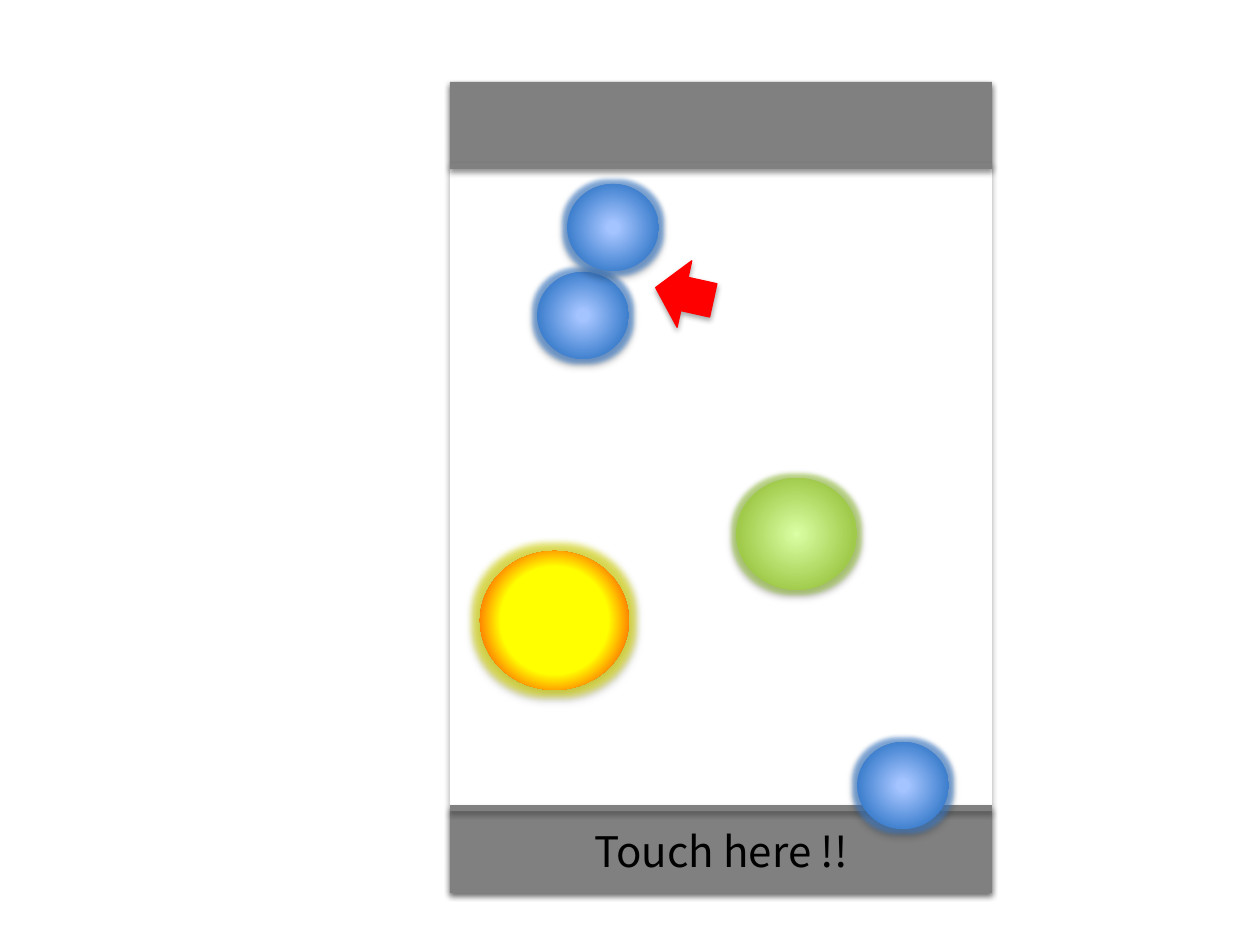
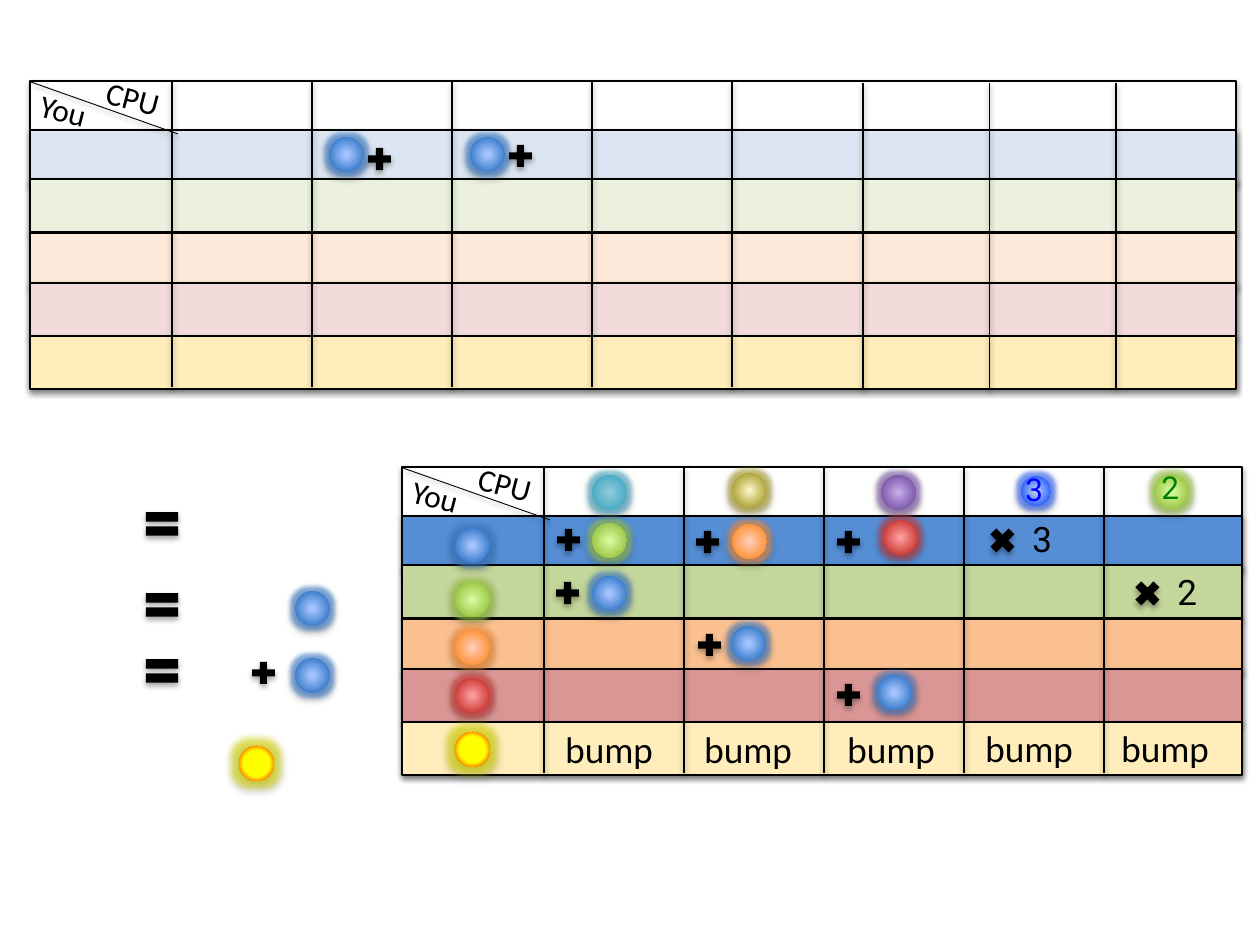
from collections import namedtuple
from pptx import Presentation
from pptx.dml.color import RGBColor
from pptx.enum.shapes import MSO_CONNECTOR, MSO_SHAPE
from pptx.enum.text import MSO_ANCHOR, MSO_AUTO_SIZE, PP_ALIGN
from pptx.oxml import parse_xml
from pptx.oxml.ns import nsdecls
from pptx.util import Emu, Pt

SCALE = 914400 / 126
COLORS = {
    "black": "000000", "white": "FFFFFF", "gray": "808080", "red": "FF0000",
    "three": "0000FF", "two": "008000",
}
PALE = ["DCE6F2", "EBF1DE", "FDEADA", "F2DCDB", "FFEEBB"]
DEEP = ["558ED5", "C3D69B", "FAC090", "D99694", "FFEEBB"]
BALLS = {
    "blue": (9, "A4C4FF", 71, "3F80CE"),
    "green": (0, "DAFFA5", 71, "A0CA4A"),
    "orange": (0, "FFD2BD", 71, "FF953E"),
    "red": (0, "FFA6A5", 70, "D1403C"),
    "violet": (0, "C8B0ED", 71, "7F5BAB"),
    "gold": (0, "FFFACE", 71, "B2A63B"),
    "teal": (0, "93CDDD", 71, "4BACC6"),
    "royal": (0, "C6D9F1", 70, "3366FF"),
    "sun": (53, "FFFF00", 79, "FF6600"),
}
GLOWS = {"sun": (101600, "DDDD00")}
ROWS = [49, 98, 152, 202, 255]
BALL = 35

Pane = namedtuple("Pane", "shapes left top")


def px(value):
    return Emu(round(value * SCALE))


def place(pane, x, y, w, h):
    return px(pane.left + x), px(pane.top + y), px(w), px(h)


def rgb(name):
    return RGBColor.from_string(COLORS.get(name, name))


def shade(shape, dist=23000, alpha=35, glow=None):
    halo = ""
    if glow:
        size, color = glow
        halo = (f'<a:glow rad="{size}"><a:srgbClr val="{color}">'
                '<a:alpha val="60000"/></a:srgbClr></a:glow>')
    shape._element.spPr.append(parse_xml(
        f'<a:effectLst {nsdecls("a")}>{halo}'
        f'<a:outerShdw blurRad="40000" dist="{dist}" dir="5400000" rotWithShape="0">'
        f'<a:srgbClr val="000000"><a:alpha val="{alpha}000"/></a:srgbClr>'
        '</a:outerShdw></a:effectLst>'))


def mark(pane, kind, x, y, w, h, fill="black", line=None, turn=0):
    shape = pane.shapes.add_shape(kind, *place(pane, x, y, w, h))
    shape.rotation = turn
    shape.fill.solid()
    shape.fill.fore_color.rgb = rgb(fill)
    if line:
        shape.line.color.rgb = rgb(line)
        shape.line.width = Pt(0.75)
    else:
        shape.line.fill.background()
    shade(shape)
    return shape


def ball(pane, name, x, y, w=BALL, h=BALL):
    shape = pane.shapes.add_shape(MSO_SHAPE.OVAL, *place(pane, x, y, w, h))
    shape.fill.background()
    shape.line.fill.background()
    first, core, last, rim = BALLS[name]
    props = shape._element.spPr
    blank = props.find("{*}noFill")
    props.replace(blank, parse_xml(
        f'<a:gradFill {nsdecls("a")} rotWithShape="1"><a:gsLst>'
        f'<a:gs pos="{first}000"><a:srgbClr val="{core}"/></a:gs>'
        f'<a:gs pos="{last}000"><a:srgbClr val="{rim}"/></a:gs></a:gsLst>'
        '<a:path path="circle"><a:fillToRect l="50000" t="50000" r="50000" b="50000"/>'
        '</a:path></a:gradFill>'))
    shade(shape, glow=GLOWS.get(name, (63500, rim)))


def rule(pane, x1, y1, x2, y2, color="black", width=1.0, dist=20000, alpha=38):
    start, end = place(pane, x1, y1, 0, 0)[:2], place(pane, x2, y2, 0, 0)[:2]
    line = pane.shapes.add_connector(MSO_CONNECTOR.STRAIGHT, *start, *end)
    line.line.color.rgb = rgb(color)
    line.line.width = Pt(width)
    shade(line, dist, alpha)


def style(frame, text, font="Calibri", size=18, color="black", align=None, edge=0):
    para = frame.paragraphs[0]
    para.alignment = align
    run = para.add_run()
    run.text = text
    run.font.name = font
    run.font.size = Pt(size)
    run.font.color.rgb = rgb(color)
    if edge:
        run.font._element.insert(0, parse_xml(
            f'<a:ln {nsdecls("a")} w="{edge}"><a:solidFill>'
            '<a:srgbClr val="FFFFFF"/></a:solidFill></a:ln>'))


def label(pane, text, x, y, w, h, turn=0, wrap=False, **look):
    box = pane.shapes.add_textbox(*place(pane, x, y, w, h))
    box.rotation = turn
    box.text_frame.word_wrap = wrap
    box.text_frame.auto_size = MSO_AUTO_SIZE.SHAPE_TO_FIT_TEXT
    style(box.text_frame, text, **look)


def phone(pane, wide, high, band):
    rect = MSO_SHAPE.RECTANGLE
    mark(pane, rect, 0, 0, wide, high, "white")
    foot = mark(pane, rect, 0, high - band, wide, band, "gray")
    foot.text_frame.vertical_anchor = MSO_ANCHOR.MIDDLE
    style(foot.text_frame, "Touch here !!", font="Noto Sans CJK JP", size=24,
          align=PP_ALIGN.CENTER)
    mark(pane, rect, 0, 0, wide, band, "gray")
    for y in (band, high - band - 1):
        rule(pane, 0, y, wide, y, "gray", 3, 23000, 35)
    ball(pane, "blue", 87, 190, 92, 87)
    ball(pane, "sun", 30, 469, 149, 139)
    ball(pane, "blue", 117, 102, 92, 87)
    mark(pane, MSO_SHAPE.LEFT_ARROW, 205, 178, 59, 68, "red", "red", 12.5)
    ball(pane, "blue", 407, 660, 92, 87)
    ball(pane, "green", 286, 396, 121, 112)


def grid(pane, wide, fills, high=306):
    rect = MSO_SHAPE.RECTANGLE
    mark(pane, rect, 0, 0, wide, high, "white", "black")
    for y, fill in zip(ROWS, fills):
        mark(pane, rect, 0, y, wide, 53, fill, "black")
    for step in range(5):
        x = 142 + 140 * step
        rule(pane, x, 0, x, high)
    label(pane, "CPU", 64, -8, 79, 50, turn=14.6)
    label(pane, "You", -2, 4, 74, 50, turn=14.6)
    rule(pane, 1, 1, 148, 53, width=0.5)


def plus(pane, x, y):
    mark(pane, MSO_SHAPE.MATH_PLUS, x, y, 31, 30)


def draft(pane):
    grid(pane, 1206, PALE)
    for step in range(3):
        x = 833 + 126.5 * step
        rule(pane, x, 2, x, 308)
    for x in (299, 440):
        ball(pane, "blue", x, 56)
    plus(pane, 334, 63)
    plus(pane, 475, 60)


def legend(pane):
    ball(pane, "sun", 99, 242)
    for y in (0, 81, 147):
        mark(pane, MSO_SHAPE.MATH_EQUAL, 0, y, 44, 40)
    for y in (87, 154):
        ball(pane, "blue", 155, y)
    plus(pane, 108, 154)


def chart(pane):
    grid(pane, 840, DEEP)
    for name, y in (("red", 211), ("green", 115), ("orange", 163),
                    ("sun", 265), ("blue", 61)):
        ball(pane, name, 53, y)
    for name, x, y in (("violet", 479, 8), ("gold", 330, 6), ("teal", 190, 8),
                       ("red", 481, 53), ("green", 190, 56), ("orange", 330, 57),
                       ("blue", 190, 109), ("blue", 329, 159), ("blue", 475, 208)):
        ball(pane, name, x, y)
    for x, y in ((150, 111), (151, 58), (292, 163), (431, 213), (290, 60), (431, 60)):
        plus(pane, x, y)
    ball(pane, "royal", 619, 9, 30, 30)
    ball(pane, "green", 752, 7)
    for text, x, y, color in (("3", 611, -3, "three"), ("2", 747, -5, "two")):
        label(pane, text, x, y, 59, 50, wrap=True, font="Roboto", color=color, edge=18415)
    for text, x, y in (("3", 583, 56), ("2", 728, 109)):
        mark(pane, MSO_SHAPE.MATH_MULTIPLY, x, y, BALL, BALL)
        label(pane, text, x + 35, y - 12, 47, 55, font="Roboto", size=20)
    for x, y in ((151, 255), (290, 255), (433, 255), (571, 254), (707, 254)):
        label(pane, "bump", x, y, 126, 55, font="Lato", size=20, edge=9525)


def main():
    deck = Presentation()
    deck.slide_width, deck.slide_height = px(1260), px(945)
    blank = deck.slide_layouts[6]
    game = deck.slides.add_slide(blank).shapes
    phone(Pane(game.add_group_shape().shapes, 450, 82), 542, 811, 84)
    rules = deck.slides.add_slide(blank).shapes
    draft(Pane(rules, 30, 81))
    legend(Pane(rules, 140, 504))
    chart(Pane(rules.add_group_shape().shapes, 402, 467))
    deck.save("out.pptx")


if __name__ == "__main__":
    main()
